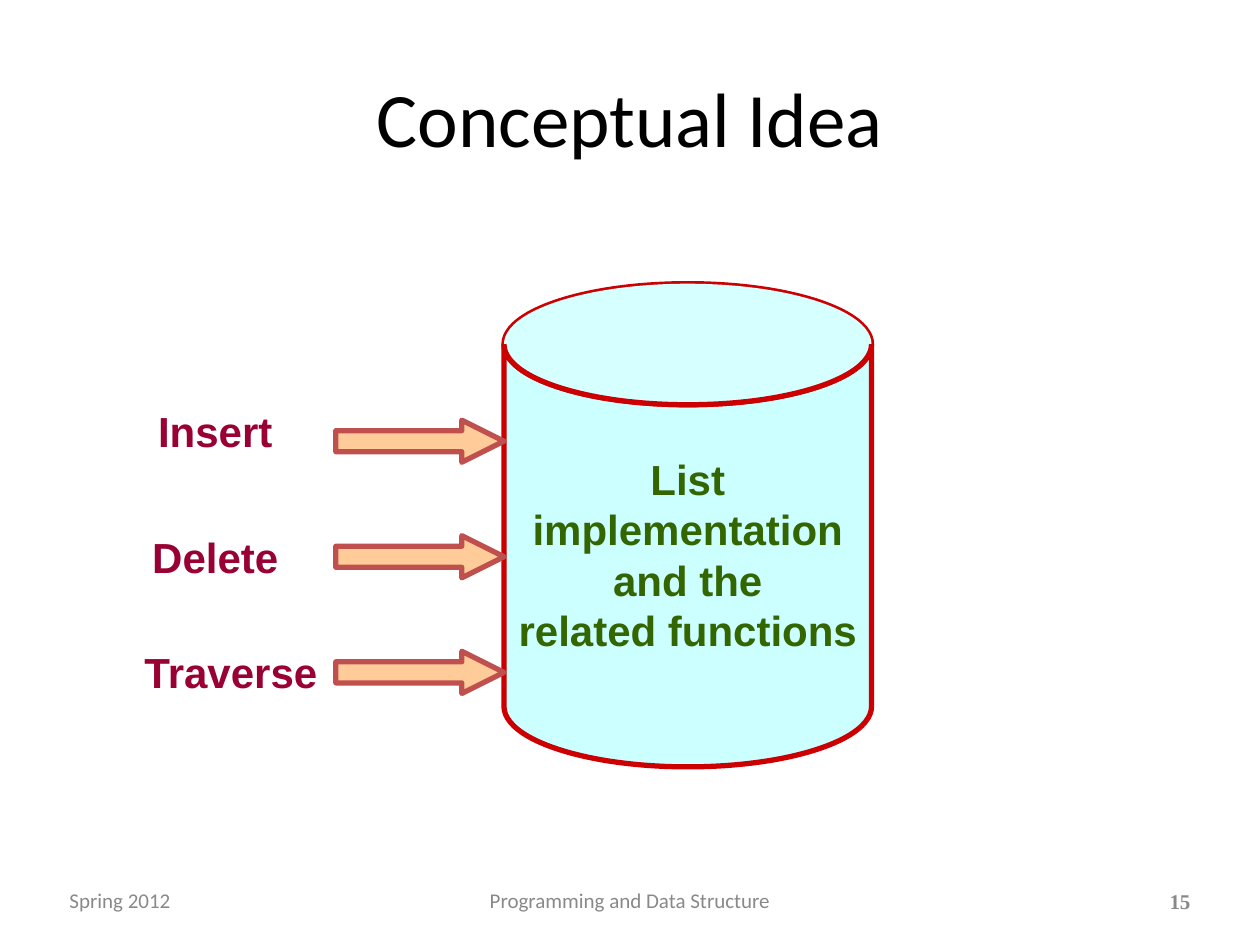
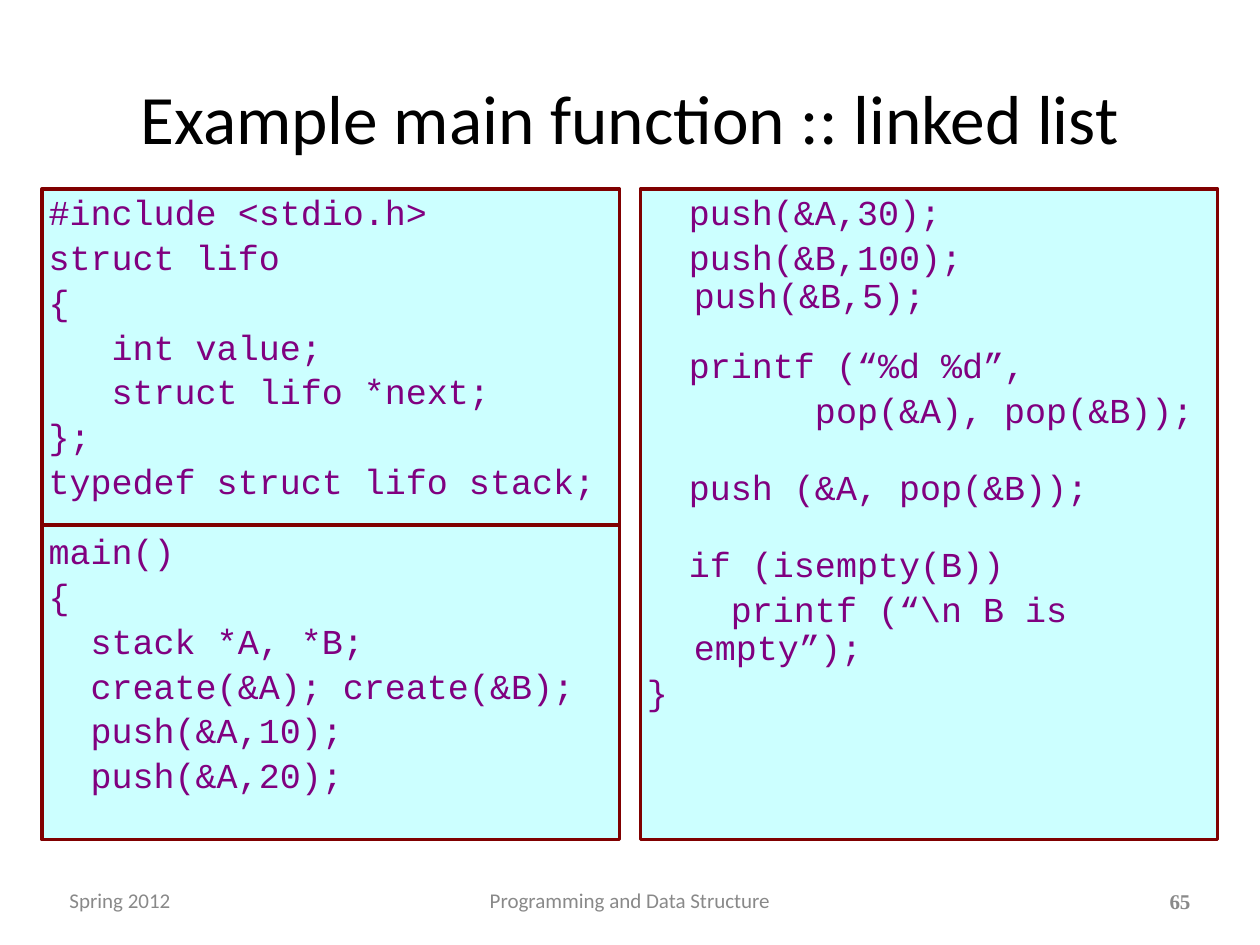
from pptx import Presentation
from pptx.dml.color import RGBColor
from pptx.enum.shapes import MSO_CONNECTOR, MSO_SHAPE
from pptx.enum.text import MSO_ANCHOR, PP_ALIGN
from pptx.oxml.ns import qn
from pptx.util import Cm, Pt
from lxml import etree

LEFT, CENTER, RIGHT = PP_ALIGN.LEFT, PP_ALIGN.CENTER, PP_ALIGN.RIGHT
TOP, MIDDLE = MSO_ANCHOR.TOP, MSO_ANCHOR.MIDDLE
RECT, CAN, OVAL = MSO_SHAPE.RECTANGLE, MSO_SHAPE.CAN, MSO_SHAPE.OVAL
ARC, ARROW = MSO_SHAPE.ARC, MSO_SHAPE.RIGHT_ARROW
STRAIGHT = MSO_CONNECTOR.STRAIGHT

COLORS = {
    "title": "000000", "footer": "898989", "panel": "CCFFFF", "lid": "D6FFFF",
    "cylinder_line": "CC0000", "cylinder_text": "336600", "label": "990033",
    "arrow": "FFCC99", "arrow_line": "C0504D", "code": "800080",
    "panel_line": "800000",
}
INSET = Cm(0.13)
HANGING = Cm(0.95)
SMALL_GAP, LARGE_GAP = 18.5, 22.5

DECLARATIONS = ["#include <stdio.h>", "struct lifo", "{", "   int value;",
                "   struct lifo *next;", "};", "typedef struct lifo stack;",
                "main()", "{", "  stack *A, *B;", "  create(&A); create(&B);",
                "  push(&A,10);", "  push(&A,20);"]
CALLS = ["  push(&A,30);", "  push(&B,100); push(&B,5);",
         "  printf (“%d %d”,", "        pop(&A), pop(&B));",
         "  push (&A, pop(&B));", "  if (isempty(B))",
         "    printf (“\\n B is empty”);", "}"]


def rgb(name):
    """Return the named colour."""
    return RGBColor.from_string(COLORS[name])


def write(s, lines, size=12, font="Calibri", color="title", bold=False,
          align=LEFT, anchor=MIDDLE, wrap=True):
    """Fill a shape with one paragraph per line and return the paragraphs."""
    tf = s.text_frame
    tf.word_wrap = wrap
    tf.vertical_anchor = anchor
    tf.margin_left = tf.margin_right = tf.margin_top = tf.margin_bottom = INSET
    for i, line in enumerate(lines):
        p = tf.add_paragraph() if i else tf.paragraphs[0]
        p.alignment = align
        r = p.add_run()
        r.text = line
        r.font.size, r.font.name, r.font.bold = Pt(size), font, bold
        r.font.color.rgb = rgb(color)
    return tf.paragraphs


def add_text(slide, lines, x, y, w, h, **fmt):
    """Add a text box measured in centimetres."""
    write(slide.shapes.add_textbox(Cm(x), Cm(y), Cm(w), Cm(h)), lines, **fmt)


def add_shape(slide, kind, x, y, w, h, fill=None, line=None, width=3, adj=()):
    """Add a preset shape measured in centimetres."""
    s = slide.shapes.add_shape(kind, Cm(x), Cm(y), Cm(w), Cm(h))
    s.shadow.inherit = False
    for i, value in enumerate(adj):
        s.adjustments[i] = value
    if fill:
        s.fill.solid()
        s.fill.fore_color.rgb = rgb(fill)
    else:
        s.fill.background()
    if line:
        s.line.color.rgb = rgb(line)
        s.line.width = Pt(width)
    else:
        s.line.fill.background()
    return s


def add_divider(slide, x, y, w):
    """Add a horizontal line across a code panel."""
    c = slide.shapes.add_connector(STRAIGHT, Cm(x), Cm(y), Cm(x + w), Cm(y))
    c.line.color.rgb = rgb("panel_line")
    c.line.width = Pt(2.5)
    etree.SubElement(c._element.spPr, qn("a:effectLst"))


def add_cylinder(slide, x, y, w, h, lid, lines):
    """Add a cylinder with a lighter lid and a centred caption."""
    add_shape(slide, CAN, x, y, w, h, "panel", "cylinder_line", adj=[lid / w])
    add_shape(slide, OVAL, x, y, w, lid, "lid")
    add_shape(slide, ARC, x, y, w, lid, line="cylinder_line", adj=[0, 108])
    add_text(slide, lines, x + 0.15, 9.09, w - 0.3, 4.17, size=24, font="Arial",
             color="cylinder_text", bold=True, align=CENTER, wrap=False)


def add_code(slide, lines, x, gaps):
    """Add a code panel, with gaps giving extra space before some lines."""
    s = add_shape(slide, RECT, x, 3.81, 11.64, 13.12, "panel", "panel_line", 2)
    paragraphs = write(s, lines, size=20, font="Courier New", color="code",
                       anchor=TOP)
    for i, p in enumerate(paragraphs):
        pPr = p._p.get_or_add_pPr()
        pPr.set("marL", str(HANGING))
        pPr.set("indent", str(-HANGING))
        p.line_spacing = 0.9
        if i:
            p.space_before = Pt(gaps.get(i, 4))


def add_slide(prs, title, number, size=44):
    """Add a blank slide with its title and footer."""
    slide = prs.slides.add_slide(prs.slide_layouts[6])
    add_text(slide, [title], 1.27, 0.76, 22.86, 3.18, size=size, align=CENTER)
    add_text(slide, ["Spring 2012"], 1.27, 17.78, 5.92, 0.74, color="footer")
    add_text(slide, ["Programming and Data Structure"], 8.68, 17.78, 8.04, 0.74,
             color="footer", align=CENTER)
    add_text(slide, [number], 23.42, 17.78, 0.71, 0.76, font="Times New Roman",
             color="footer", bold=True, align=RIGHT, wrap=False)
    return slide


def build_concept(prs):
    """Build the slide with the list operations."""
    slide = add_slide(prs, "Conceptual Idea", "15")
    add_cylinder(slide, 10.16, 5.72, 7.41, 9.74, 2.44,
                 ["List", "implementation", "and the", "related functions"])
    operations = [("Insert", 8.05, 3.6), ("Delete", 10.58, 3.6),
                  ("Traverse", 12.91, 4.23)]
    for i, (name, y, w) in enumerate(operations):
        add_shape(slide, ARROW, 6.77, 8.47 + 2.33 * i, 3.39, 0.85, "arrow",
                  "arrow_line", adj=[0.5, 1])
        add_text(slide, [name], 2.54, y, w, 1.22, size=24, font="Arial",
                 color="label", bold=True, align=CENTER, anchor=TOP)


def build_example(prs):
    """Build the slide with the stack program."""
    slide = add_slide(prs, "Example main function :: linked list", "65", 39.6)
    add_code(slide, DECLARATIONS, 0.85, {7: SMALL_GAP})
    add_code(slide, CALLS, 12.91, {2: SMALL_GAP, 4: LARGE_GAP, 5: LARGE_GAP})
    add_divider(slide, 0.85, 10.58, 11.64)


def main():
    """Build and save the presentation."""
    prs = Presentation()
    prs.slide_width, prs.slide_height = Cm(25.4), Cm(19.05)
    build_concept(prs)
    build_example(prs)
    prs.save("out.pptx")


if __name__ == "__main__":
    main()
